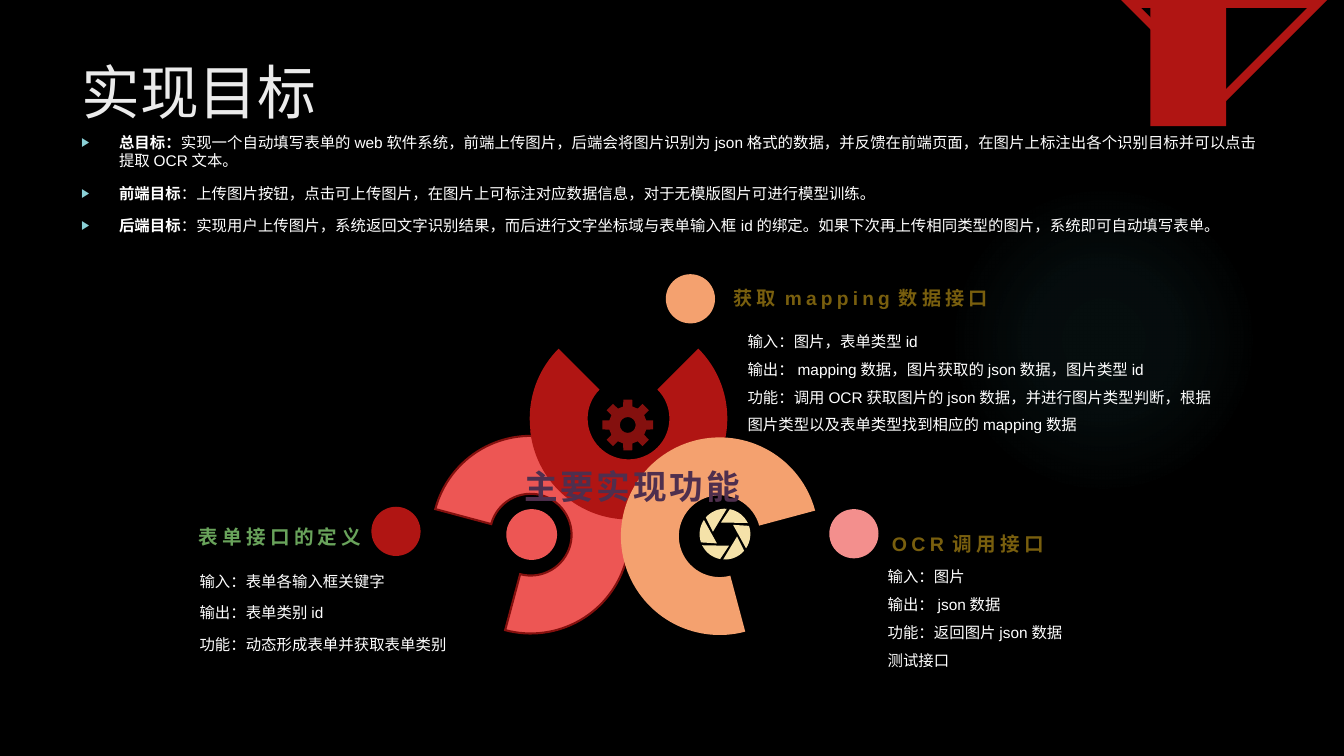
import math
from lxml import etree
from pptx import Presentation
from pptx import util as u
from pptx.dml.color import RGBColor
from pptx.enum import shapes, text
from pptx.oxml import parse_xml
from pptx.oxml.ns import nsdecls, qn

COLORS = {
    "black": "000000", "white": "FFFFFF", "title": "EBEBEB", "bullet": "8AD0D6",
    "glow": "50B9C1", "red": "B01513", "dark_red": "84100E", "coral": "ED5654",
    "orange": "F4A16F", "pink": "F38F8D", "cream": "F5E2A9", "ochre": "795F0E",
    "green": "69A35B", "plum": "4F2F4E",
}


def rgb(name):
    return RGBColor.from_string(COLORS[name])


def polar(radius, degrees, curved=False):
    angle = math.radians(degrees)
    return radius * math.cos(angle), radius * math.sin(angle), curved


def arc(radius, start, end, pieces):
    step = (end - start) / pieces
    lean = math.atan(4 / 3 * math.tan(math.radians(step) / 4))
    reach, lean = radius / math.cos(lean), math.degrees(lean)
    points = [polar(radius, start)]
    for piece in range(pieces):
        first, last = start + piece * step, start + (piece + 1) * step
        points += [polar(reach, first + lean, True), polar(reach, last - lean, True),
                   polar(radius, last, True)]
    return points


def ring_sector(outer, inner, start, end, pieces):
    return arc(outer, start, end, pieces) + arc(inner, end, start, pieces)


def gear(outer, valley, hole, teeth=8):
    rim = []
    for tooth in range(teeth):
        middle = tooth * 360 / teeth
        rim += [polar(valley, middle - 14), polar(outer, middle - 10),
                polar(outer, middle + 10), polar(valley, middle + 14)]
    return [rim, arc(hole, 360, 0, 4)]


def aperture(outer, inner, blades=6):
    step = 360 / blades
    return [arc(outer, i * step - 26, i * step - 79, 1) + [polar(inner, i * step - 109)]
            for i in range(blades)]


class SlideBuilder:
    font = "Arial"
    body_size = 11

    def __init__(self, presentation):
        self.slide = presentation.slides.add_slide(presentation.slide_layouts[1])
        self.slide.background.fill.solid()
        self.slide.background.fill.fore_color.rgb = rgb("black")

    def paint(self, shape, fill, line=None, width=0):
        shape.shadow.inherit = False
        if fill:
            shape.fill.solid()
            shape.fill.fore_color.rgb = rgb(fill)
        else:
            shape.fill.background()
        if line:
            shape.line.color.rgb = rgb(line)
            shape.line.width = u.Pt(width)
            etree.SubElement(shape.element.spPr.find(qn("a:ln")), qn("a:miter"), lim="800000")
        else:
            shape.line.fill.background()
        return shape

    def preset(self, kind, left, top, width, height, fill):
        box = [u.Cm(value) for value in (left, top, width, height)]
        return self.paint(self.slide.shapes.add_shape(kind, *box), fill)

    def circle(self, left, top, size, fill):
        return self.preset(shapes.MSO_SHAPE.OVAL, left, top, size, size, fill)

    def glow(self, left, top, size, stops):
        shape = self.circle(left, top, size, None)
        gradient = parse_xml(
            f'<a:gradFill {nsdecls("a")}><a:gsLst/><a:path path="circle">'
            '<a:fillToRect l="50000" t="50000" r="50000" b="50000"/></a:path></a:gradFill>')
        for position, alpha in stops:
            stop = etree.SubElement(gradient[0], qn("a:gs"), pos=str(position * 1000))
            color = etree.SubElement(stop, qn("a:srgbClr"), val=COLORS["glow"])
            etree.SubElement(color, qn("a:alpha"), val=str(alpha * 1000))
        properties = shape.element.spPr
        properties.replace(properties.find(qn("a:noFill")), gradient)

    def outline(self, contours, center, rotation, fill, line=None, width=0):
        paths = [[(u.Cm(x), u.Cm(y)) for x, y, _ in contour] for contour in contours]
        builder = self.slide.shapes.build_freeform(*paths[0][0], scale=1.0)
        for index, points in enumerate(paths):
            if index:
                builder.move_to(*points[0])
            builder.add_line_segments(points[1:], close=True)
        shape = builder.convert_to_shape()
        nodes = list(shape.element.iter(qn("a:moveTo"), qn("a:lnTo")))
        flags = [curved for contour in contours for _, _, curved in contour]
        curved_nodes = [node for node, curved in zip(nodes, flags) if curved]
        for index in range(0, len(curved_nodes), 3):
            curve = etree.Element(qn("a:cubicBezTo"))
            curved_nodes[index].addprevious(curve)
            for node in curved_nodes[index:index + 3]:
                curve.append(node[0])
                node.getparent().remove(node)
        shape.left = u.Cm(center[0]) - shape.width // 2
        shape.top = u.Cm(center[1]) - shape.height // 2
        shape.rotation = rotation
        self.paint(shape, fill, line, width)

    def run(self, paragraph, words, size, color, bold=False, spacing=0, font=None):
        run = paragraph.add_run()
        run.text = words
        run.font.name = font or self.font
        run.font.size = u.Pt(size)
        run.font.bold = bold
        run.font.color.rgb = rgb(color)
        if spacing:
            run.font._element.set("spc", str(spacing * 100))

    def frame(self, shape, box, anchor=text.MSO_ANCHOR.TOP, insets=(0.25, 0.13, 0.25, 0.13)):
        shape.left, shape.top, shape.width, shape.height = [u.Cm(value) for value in box]
        frame = shape.text_frame
        frame.word_wrap = True
        frame.auto_size = text.MSO_AUTO_SIZE.NONE
        frame.vertical_anchor = anchor
        (frame.margin_left, frame.margin_top,
         frame.margin_right, frame.margin_bottom) = [u.Cm(value) for value in insets]
        return frame

    def title(self, words, box):
        shape = self.slide.shapes.title
        self.slide.shapes.element.append(shape.element)
        paragraph = self.frame(shape, box).paragraphs[0]
        paragraph.alignment = text.PP_ALIGN.LEFT
        self.run(paragraph, words, 42, "title", font="Quicksand")

    def goals(self, items, box):
        shape = self.slide.placeholders[1]
        self.slide.shapes.element.append(shape.element)
        frame = self.frame(shape, box)
        for index, (label, detail) in enumerate(items):
            paragraph = frame.add_paragraph() if index else frame.paragraphs[0]
            paragraph.space_before = u.Pt(10)
            properties = paragraph._p.get_or_add_pPr()
            properties.set("marL", str(u.Cm(0.95)))
            properties.set("indent", str(-u.Cm(0.95)))
            color = etree.SubElement(properties, qn("a:buClr"))
            etree.SubElement(color, qn("a:srgbClr"), val=COLORS["bullet"])
            etree.SubElement(properties, qn("a:buSzPct"), val="80000")
            etree.SubElement(properties, qn("a:buFont"), typeface=self.font)
            etree.SubElement(properties, qn("a:buChar"), char="▶")
            self.run(paragraph, label, self.body_size, "white", bold=True)
            self.run(paragraph, detail, self.body_size, "white")

    def text_box(self, lines, box, size, color, bold=False, spacing=0, line_spacing=1.5,
                 alignment=text.PP_ALIGN.LEFT, **layout):
        shape = self.slide.shapes.add_textbox(*[u.Cm(value) for value in box])
        frame = self.frame(shape, box, **layout)
        for index, words in enumerate(lines):
            paragraph = frame.add_paragraph() if index else frame.paragraphs[0]
            paragraph.alignment = alignment
            paragraph.line_spacing = line_spacing
            self.run(paragraph, words, size, color, bold, spacing)

    def heading(self, words, box, color, size=14, alignment=text.PP_ALIGN.LEFT):
        self.text_box([words], box, size, color, True, 3, alignment=alignment,
                      anchor=text.MSO_ANCHOR.BOTTOM, insets=(0.25, 0.13, 0.25, 0))

    def details(self, lines, box, line_spacing=1.5):
        self.text_box(lines, box, self.body_size, "white", line_spacing=line_spacing,
                      insets=(0.25, 0, 0.25, 0.13))


def main():
    presentation = Presentation()
    presentation.slide_width, presentation.slide_height = u.Cm(33.87), u.Cm(19.05)
    builder = SlideBuilder(presentation)

    builder.glow(23.9, 4.65, 7.82, [(0, 7), (36, 6), (69, 0)])
    builder.preset(shapes.MSO_SHAPE.RECTANGLE, 28.99, 0, 1.91, 3.18, "red")
    corner = [(0, 0, False), (3.33, 3.33, False), (0, 3.33, False)]
    builder.outline([corner], (30.85, 0.09), 315, None, "red", 6)

    builder.title("实现目标", (1.8, 1.27, 26.14, 3.89))
    builder.goals([
        ("总目标：", "实现一个自动填写表单的web软件系统，前端上传图片，后端会将图片识别为json格式的数据，"
                 "并反馈在前端页面，在图片上标注出各个识别目标并可以点击提取OCR文本。"),
        ("前端目标", "：上传图片按钮，点击可上传图片，在图片上可标注对应数据信息，对于无模版图片可进行模型训练。"),
        ("后端目标", "：实现用户上传图片，系统返回文字识别结果，而后进行文字坐标域与表单输入框id的绑定。"
                 "如果下次再上传相同类型的图片，系统即可自动填写表单。"),
    ], (1.8, 3.22, 30.15, 14.96))

    petal = [ring_sector(2.49, 1.03, -45, 225, 6)]
    builder.outline(petal, (13.69, 13.29), 240, "coral", "dark_red", 1.5)
    builder.outline(petal, (15.84, 10.91), 0, "red")
    builder.circle(12.76, 12.83, 1.28, "coral")
    builder.outline(gear(0.65, 0.48, 0.2), (15.82, 10.71), 90, "dark_red")
    builder.outline(aperture(0.64, 0.31), (18.27, 13.46), 60, "cream")
    builder.outline([ring_sector(2.49, 1.07, -135, -45, 2)], (14.82, 11.86), 219, "red")
    builder.outline(petal, (17.82, 13.33), 120, "orange")

    for left, top, fill in [(16.78, 6.91, "orange"), (9.36, 12.77, "red"), (20.9, 12.83, "pink")]:
        builder.circle(left, top, 1.24, fill)

    builder.heading("获取mapping数据接口", (18.24, 6.78, 9.37, 1.02), "ochre", 13.7)
    builder.details(["输入：图片，表单类型id", "输出：mapping数据，图片获取的json数据，图片类型id",
                     "功能：调用OCR获取图片的json数据，并进行图片类型判断，"
                     "根据图片类型以及表单类型找到相应的mapping数据"], (18.59, 8.14, 12.27, 4.78))
    builder.heading("OCR调用接口", (22.23, 12.76, 7.75, 1.24), "ochre")
    builder.details(["输入：图片", "输出：json数据", "功能：返回图片json数据", "测试接口"],
                    (22.12, 14.07, 7.75, 3.51))
    builder.heading("表单接口的定义", (1.61, 12.57, 7.75, 1.24), "green",
                    alignment=text.PP_ALIGN.RIGHT)
    builder.details(["输入：表单各输入框关键字", "输出：表单类别id", "功能：动态形成表单并获取表单类别"],
                    (4.78, 14.09, 7.75, 2.9), 1.7)
    builder.text_box(["主要实现功能"], (12.93, 11.13, 6.02, 1.73), 24, "plum", True, 2,
                     insets=(0.28, 0.1, 0.1, 0.1))
    presentation.save("out.pptx")


if __name__ == "__main__":
    main()
